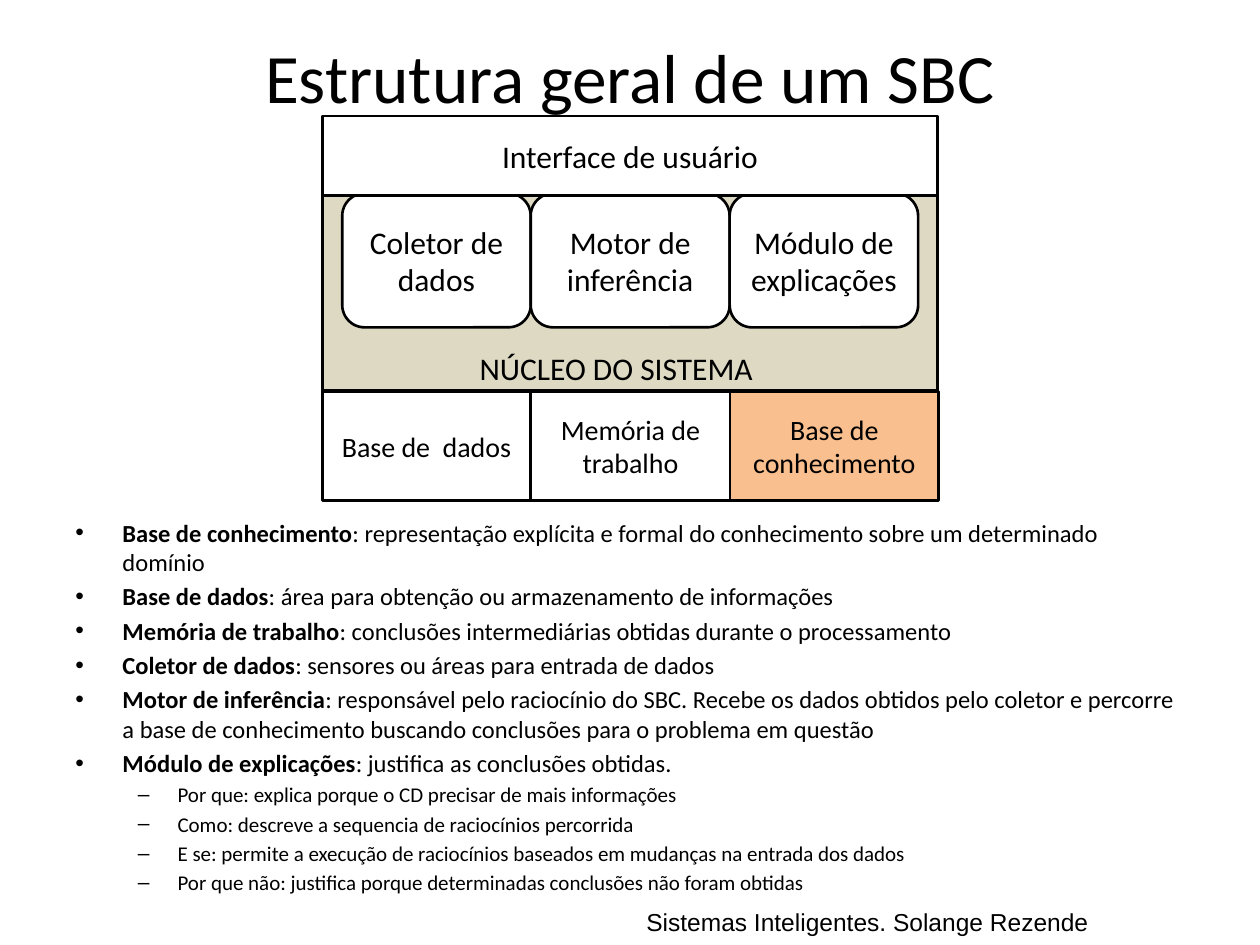
from lxml.etree import SubElement
from pptx import Presentation
from pptx.dml.color import RGBColor
from pptx.enum.shapes import MSO_SHAPE
from pptx.enum.text import MSO_ANCHOR, PP_ALIGN
from pptx.oxml.ns import qn
from pptx.util import Cm, Pt

BLACK = RGBColor(0x00, 0x00, 0x00)
WHITE = RGBColor(0xFF, 0xFF, 0xFF)
SAND = RGBColor(0xDD, 0xD9, 0xC3)
ORANGE = RGBColor(0xFA, 0xBF, 0x8E)


def add_run(paragraph, text, size, bold=False, font="Calibri"):
    """Append one formatted black run to a paragraph."""
    run = paragraph.add_run()
    run.text = text
    run.font.name = font
    run.font.size = Pt(size)
    run.font.bold = bold
    run.font.color.rgb = BLACK


def add_block(kind, left, top, width, height, fill, text="", size=18):
    """Draw one outlined block of the diagram with a centred label."""
    block = slide.shapes.add_shape(kind, Cm(left), Cm(top), Cm(width), Cm(height))
    block.shadow.inherit = False
    block.fill.solid()
    block.fill.fore_color.rgb = fill
    block.line.color.rgb = BLACK
    block.line.width = Pt(1.5)
    if text:
        block.text_frame.word_wrap = True
        block.text_frame.vertical_anchor = MSO_ANCHOR.MIDDLE
        label = block.text_frame.paragraphs[0]
        label.alignment = PP_ALIGN.CENTER
        add_run(label, text, size)


presentation = Presentation()
presentation.slide_width = Cm(25.4)
presentation.slide_height = Cm(19.05)
slide = presentation.slides.add_slide(presentation.slide_layouts[5])

# Diagram: kernel area first, since everything else overlaps it
LEFT, WIDTH = 6.5, 12.4
add_block(MSO_SHAPE.RECTANGLE, LEFT, 3.89, WIDTH, 3.99, SAND)

title = slide.shapes.title
title.left, title.top, title.width, title.height = Cm(1.27), Cm(0.76), Cm(22.86), Cm(1.55)
title.text_frame.vertical_anchor = MSO_ANCHOR.MIDDLE
heading = title.text_frame.paragraphs[0]
heading.alignment = PP_ALIGN.CENTER
add_run(heading, "Estrutura geral de um SBC", 39.6)

left = 6.9
for name, width in [("Coletor de dados", 3.8), ("Motor de inferência", 4.01),
                    ("Módulo de explicações", 3.8)]:
    add_block(MSO_SHAPE.ROUNDED_RECTANGLE, left, 3.9, width, 2.7, WHITE, name)
    left += width

left = LEFT
for name, width, fill in [("Base de  dados", 4.2, WHITE),
                          ("Memória de trabalho", 4.02, WHITE),
                          ("Base de conhecimento", 4.2, ORANGE)]:
    add_block(MSO_SHAPE.RECTANGLE, left, 7.89, width, 2.2, fill, name, 16)
    left += width

add_block(MSO_SHAPE.RECTANGLE, LEFT, 2.34, WIDTH, 1.6, WHITE, "Interface de usuário")

# Captions
for text, left, top, width, height, size, font in [
    ("NÚCLEO DO SISTEMA", 9.42, 6.91, 6.07, 1.02, 18, "Calibri"),
    ("Sistemas Inteligentes. Solange Rezende", 12.78, 18.16, 9.6, 0.86, 14, "Arial"),
]:
    caption = slide.shapes.add_textbox(Cm(left), Cm(top), Cm(width), Cm(height))
    caption.text_frame.word_wrap = True
    add_run(caption.text_frame.paragraphs[0], text, size, font=font)

# Definitions: (level, term, explanation)
definitions = [
    (0, "Base de conhecimento",
     ": representação explícita e formal do conhecimento sobre um determinado domínio"),
    (0, "Base de dados", ": área para obtenção ou armazenamento de informações"),
    (0, "Memória de trabalho",
     ": conclusões intermediárias obtidas durante o processamento"),
    (0, "Coletor de dados", ": sensores ou áreas para entrada de dados"),
    (0, "Motor de inferência",
     ": responsável pelo raciocínio do SBC. Recebe os dados obtidos pelo coletor e "
     "percorre a base de conhecimento buscando conclusões para o problema em questão"),
    (0, "Módulo de explicações", ": justifica as conclusões obtidas."),
    (1, "", "Por que: explica porque o CD precisar de mais informações"),
    (1, "", "Como: descreve a sequencia de raciocínios percorrida"),
    (1, "", "E se: permite a execução de raciocínios baseados em mudanças na entrada dos dados"),
    (1, "", "Por que não: justifica porque determinadas conclusões não foram obtidas"),
]
# Per level: text size, space before, left margin, hanging indent, bullet
level_styles = [(14, 2.8, 0.95, 0.95, "•"), (12, 2.4, 2.06, 0.8, "–")]

glossary = slide.shapes.add_textbox(Cm(1.27), Cm(10.31), Cm(22.86), Cm(7.01)).text_frame
glossary.word_wrap = True
for index, (level, term, explanation) in enumerate(definitions):
    entry = glossary.add_paragraph() if index else glossary.paragraphs[0]
    size, space, margin, hanging, bullet = level_styles[level]
    entry.level = level
    entry.space_before = Pt(space if index else 0)
    properties = entry._p.get_or_add_pPr()
    properties.set("marL", str(Cm(margin)))
    properties.set("indent", str(-Cm(hanging)))
    SubElement(properties, qn("a:buFont"), typeface="Arial")
    SubElement(properties, qn("a:buChar"), char=bullet)
    if term:
        add_run(entry, term, size, bold=True)
    add_run(entry, explanation, size)

presentation.save("out.pptx")
